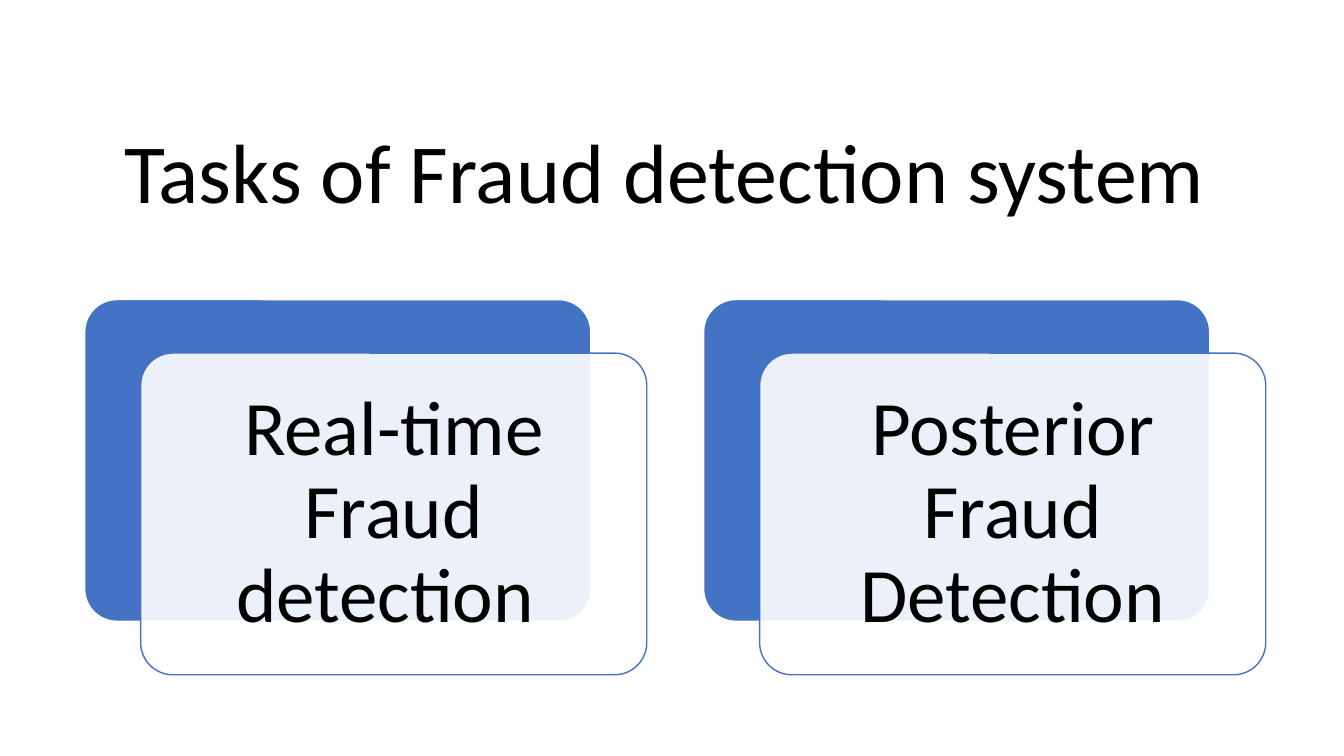
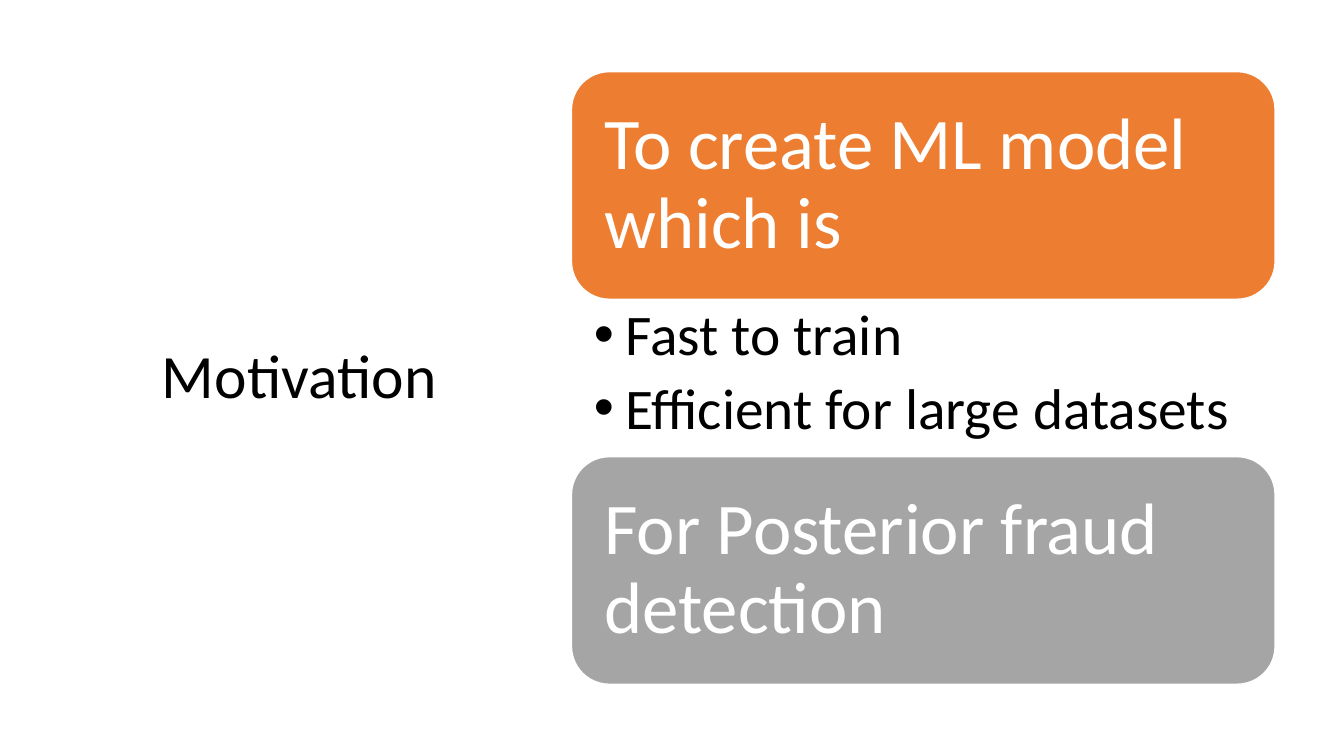
from lxml import etree
from pptx import Presentation
from pptx.dml.color import RGBColor
from pptx.enum import shapes, text
from pptx.oxml.ns import qn
from pptx.util import Pt

COLORS = {"blue": "4472C4", "orange": "ED7D31", "gray": "A5A5A5",
          "white": "FFFFFF", "black": "000000"}
FONT = "Calibri"
LINE_SPACING = 0.9
TITLE_ONLY, TITLE_AND_CONTENT = 5, 1


def rgb(name):
    return RGBColor.from_string(COLORS[name])


def place(shape, box):
    shape.left, shape.top, shape.width, shape.height = map(Pt, box)


def format_paragraph(paragraph, size, color, align):
    paragraph.font.name = FONT
    paragraph.font.size = Pt(size)
    paragraph.font.color.rgb = rgb(color)
    paragraph.alignment = align
    paragraph.line_spacing = LINE_SPACING


def set_margins(frame, left, top, right, bottom):
    frame.margin_left, frame.margin_top = Pt(left), Pt(top)
    frame.margin_right, frame.margin_bottom = Pt(right), Pt(bottom)


def add_title(slide, box, words, size):
    title = slide.shapes.title
    place(title, box)
    frame = title.text_frame
    frame.text = words
    frame.auto_size = text.MSO_AUTO_SIZE.NONE
    frame.vertical_anchor = text.MSO_ANCHOR.MIDDLE
    format_paragraph(frame.paragraphs[0], size, "black", text.PP_ALIGN.CENTER)


def add_rounded_box(slide, box, fill, line, rounding):
    shape = slide.shapes.add_shape(
        shapes.MSO_SHAPE.ROUNDED_RECTANGLE, *map(Pt, box))
    shape.adjustments[0] = rounding
    shape.shadow.inherit = False
    shape.fill.solid()
    shape.fill.fore_color.rgb = rgb(fill)
    shape.line.color.rgb = rgb(line)
    shape.line.width = Pt(1)
    return shape


def write_in_box(shape, words, size, color, align, margin):
    frame = shape.text_frame
    frame.word_wrap = True
    frame.vertical_anchor = text.MSO_ANCHOR.MIDDLE
    set_margins(frame, margin, margin, margin, margin)
    frame.text = words
    format_paragraph(frame.paragraphs[0], size, color, align)


def set_opacity(shape, percent):
    color = shape.fill._xPr.find(qn("a:solidFill"))[0]
    etree.SubElement(color, qn("a:alpha"), val=str(percent * 1000))


# Task card: a blue plate with a translucent label in front of it
def add_task_card(slide, box, words):
    left, top, width, height = box
    shift_x, shift_y = 40, 38.2
    plate = (left, top, width - shift_x, height - shift_y)
    label = (left + shift_x, top + shift_y, width - shift_x, height - shift_y)
    add_rounded_box(slide, plate, "blue", "white", 0.1)
    front = add_rounded_box(slide, label, "white", "blue", 0.1)
    set_opacity(front, 90)
    write_in_box(front, words, 55, "black", text.PP_ALIGN.CENTER, 16.5)


def add_banner(slide, box, words, fill):
    banner = add_rounded_box(slide, box, fill, "white", 0.16667)
    write_in_box(banner, words, 52, "white", text.PP_ALIGN.LEFT, 15.6)


def add_bullets(slide, box, items):
    body = slide.placeholders[1]
    place(body, box)
    frame = body.text_frame
    frame.text = "\n".join(items)
    frame.auto_size = text.MSO_AUTO_SIZE.NONE
    frame.vertical_anchor = text.MSO_ANCHOR.TOP
    set_margins(frame, 16, 5, 28.8, 5)
    for paragraph in frame.paragraphs:
        format_paragraph(paragraph, 41, "black", text.PP_ALIGN.LEFT)
        paragraph.space_before = Pt(0)
        paragraph.space_after = Pt(8)
        properties = paragraph._p.get_or_add_pPr()
        indent = Pt(22.5)
        properties.set("marL", str(indent))
        properties.set("indent", str(-indent))


def build_tasks(presentation):
    slide = presentation.slides.add_slide(presentation.slide_layouts[TITLE_ONLY])
    add_title(slide, (80.6, 57.6, 787.7, 136), "Tasks of Fraud detection system", 60)
    left, top, width, height, gap = 60.5, 214, 401.5, 268, 40.6
    for column, words in enumerate(["Real-time Fraud detection ",
                                    "Posterior Fraud Detection"]):
        card_left = left + column * (width + gap)
        add_task_card(slide, (card_left, top, width, height), words)


def build_motivation(presentation):
    slide = presentation.slides.add_slide(
        presentation.slide_layouts[TITLE_AND_CONTENT])
    add_title(slide, (69.8, 77, 298, 386.6), "Motivation ", 44)
    # Two banners with the list between them
    left, top, width, banner_height, list_height = 408.2, 51.2, 502.6, 162.6, 112.4
    list_top = top + banner_height
    add_banner(slide, (left, top, width, banner_height),
               "To create ML model which is", "orange")
    add_bullets(slide, (left, list_top, width, list_height),
                ["Fast to train", "Efficient for large datasets"])
    add_banner(slide, (left, list_top + list_height, width, banner_height),
               "For Posterior fraud detection ", "gray")


presentation = Presentation()
presentation.slide_width, presentation.slide_height = Pt(960), Pt(540)
build_tasks(presentation)
build_motivation(presentation)
presentation.save("out.pptx")
